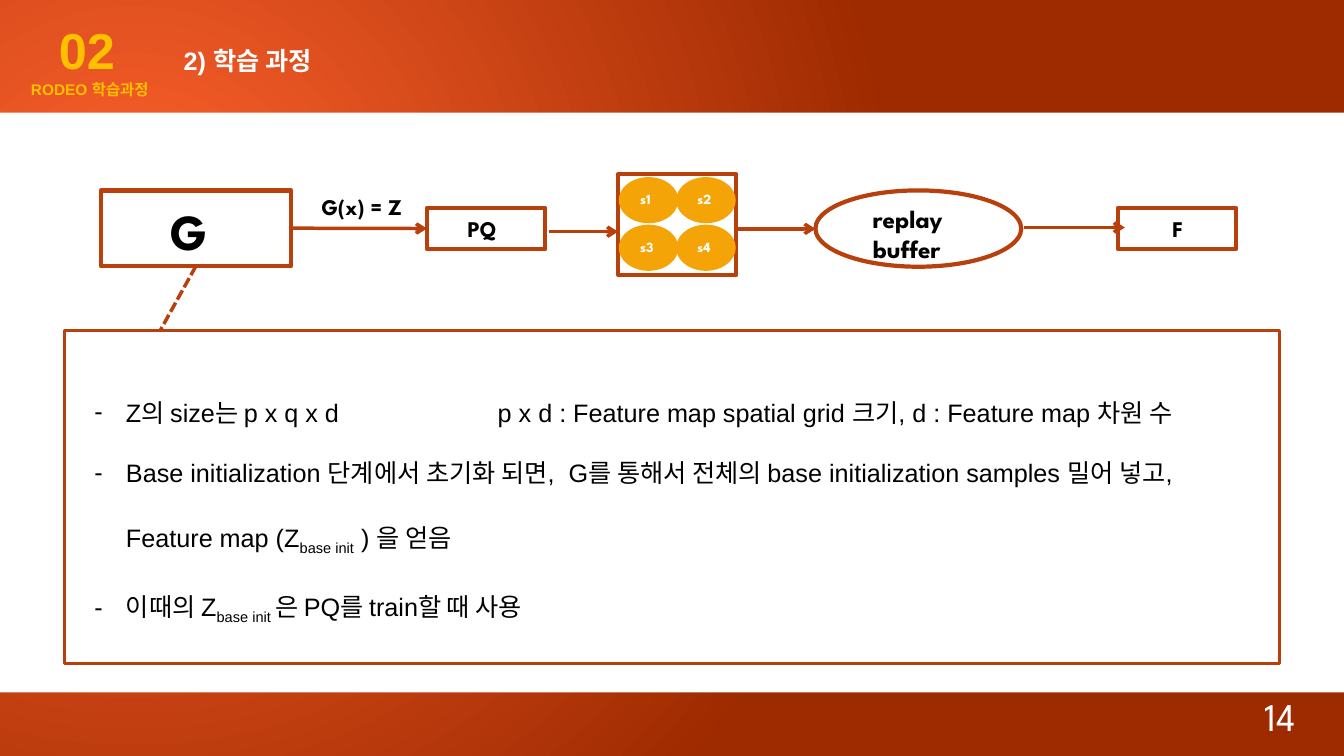
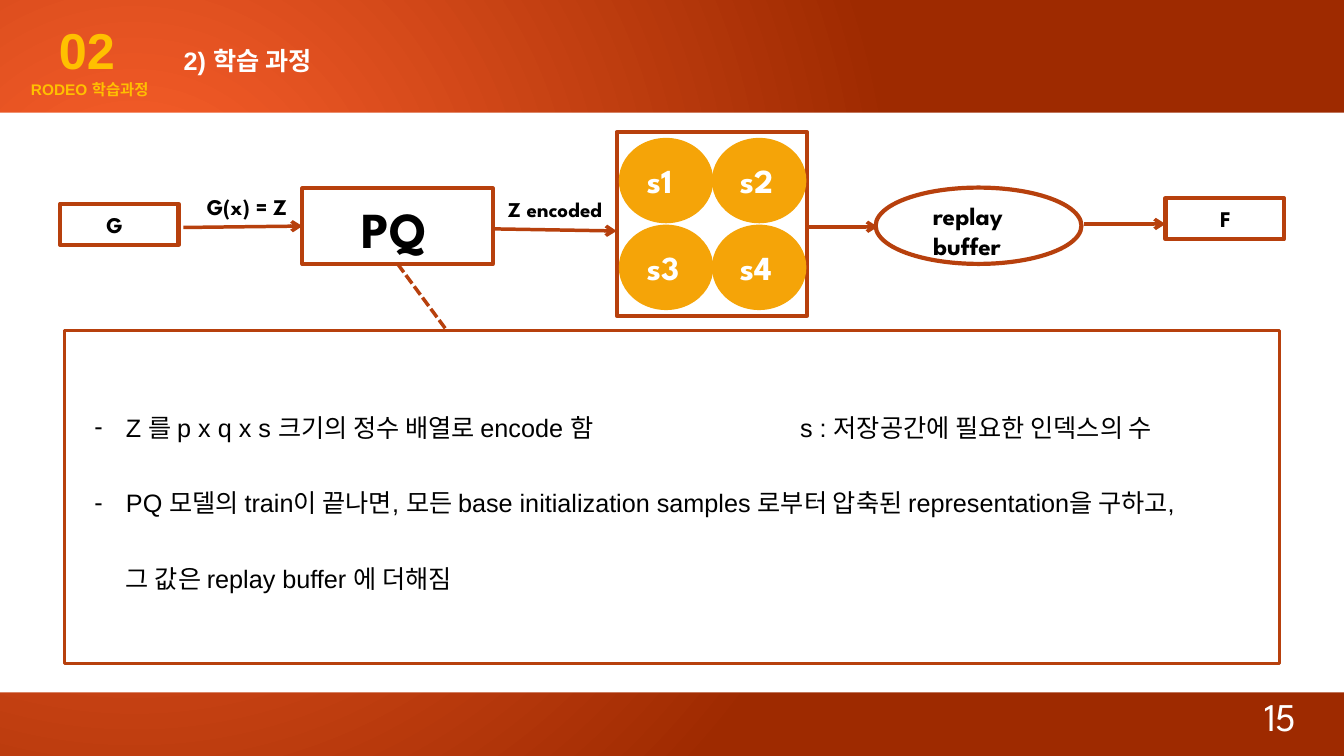
from lxml import etree
from pptx import Presentation
from pptx.dml.color import RGBColor
from pptx.enum.dml import MSO_LINE
from pptx.enum.shapes import MSO_CONNECTOR, MSO_SHAPE
from pptx.enum.text import MSO_ANCHOR, MSO_AUTO_SIZE, PP_ALIGN
from pptx.oxml.ns import qn
from pptx.util import Pt

RECT, OVAL = MSO_SHAPE.RECTANGLE, MSO_SHAPE.OVAL
STRAIGHT, DASH = MSO_CONNECTOR.STRAIGHT, MSO_LINE.SQUARE_DOT
TOP, MIDDLE, BOTTOM = MSO_ANCHOR.TOP, MSO_ANCHOR.MIDDLE, MSO_ANCHOR.BOTTOM
LEFT, CENTER = PP_ALIGN.LEFT, PP_ALIGN.CENTER
FIXED = MSO_AUTO_SIZE.NONE

RUST, AMBER, GOLD = "B7400D", "F5A408", "FFC000"
GLOW, EMBER, WHITE, BLACK = "FF622E", "9E2A00", "FFFFFF", "000000"
SANS, SPARTAN = "Arial", "League Spartan"

TITLE = "2) 학습 과정"
SECTION = "02", "RODEO 학습과정"
PANEL = 46, 236, 868, 238
PADDING = 7.2, 3.6, 7.2, 3.6
SUB = -25000

# boxes: kind, place, lines, text size, left and top inset
# points: lists of (text, baseline) parts
SLIDES = [
    {
        "page": "14",
        "boxes": [
            (RECT, (72, 136, 136, 54), ["G"], 36, (50, 7)),
            (RECT, (305, 148.5, 84.5, 29.5), ["PQ"], 16, (29, 5.5)),
            (OVAL, (582.5, 136, 147, 54.5), ["replay", "buffer"], 18, (19.5, 1)),
            (RECT, (798.5, 148.5, 84.5, 29.5), ["F"], 16, (39, 5.5)),
        ],
        "store": {"frame": (441.5, 124.5, 84.5, 72), "first": (442, 126.5),
                  "oval": (42.5, 33), "step": (41, 34), "size": 10,
                  "inset": (9, 5)},
        "labels": [("G(x) = Z", (219, 134.5, 79, 26.5), 16)],
        "arrows": [(208, 163, 305, 163), (392.5, 165.5, 441.5, 165.5),
                   (525.5, 163.5, 582.5, 163.5), (731.5, 162.5, 803.5, 162.5)],
        "dash": (140, 190, 114.5, 236),
        "spacing": 2,
        "tab": 288,
        "points": [
            [("Z의 size는 p x q x d\tp x d : Feature map spatial grid 크기, "
              "d : Feature map 차원 수", 0)],
            [("Base initialization 단계에서 초기화 되면,  G를 통해서 전체의 "
              "base initialization samples 밀어 넣고,\nFeature map (Z", 0),
             ("base init", SUB), (" ) 을 얻음", 0)],
            [("이때의 Z", 0), ("base init ", SUB), ("은 PQ를 train할 때 사용", 0)],
        ],
    },
    {
        "page": "15",
        "boxes": [
            (RECT, (43, 145.5, 84.5, 29.5), ["G"], 16, (33, 5)),
            (RECT, (216, 134.5, 136, 54), ["PQ"], 36, (42.5, 7)),
            (OVAL, (625.5, 134, 147, 54.5), ["replay", "buffer"], 18, (19.5, 1)),
            (RECT, (832.5, 141.5, 84.5, 29.5), ["F"], 16, (39, 5)),
        ],
        "store": {"frame": (440.5, 94.5, 136, 131), "first": (442, 98.5),
                  "oval": (67.5, 61), "step": (66.5, 62), "size": 24,
                  "inset": (10, 7)},
        "labels": [("G(x) = Z", (137, 134.5, 79, 26.5), 16),
                   ("Z encoded", (343.5, 137, 106, 25), 15)],
        "arrows": [(131, 162.5, 216, 161.5), (352, 163.5, 440.5, 165),
                   (576.5, 162, 627, 162), (774.5, 160, 832.5, 160)],
        "dash": (284, 188.5, 318, 234.5),
        "spacing": 2.5,
        "tab": 504,
        "points": [
            [("Z 를 p x q x s 크기의 정수 배열로 encode 함"
              "\ts : 저장공간에 필요한 인덱스의 수", 0)],
            [("PQ 모델의 train이 끝나면, 모든 base initialization samples 로부터 "
              "압축된 representation을 구하고,\n그 값은 replay buffer 에 더해짐", 0)],
        ],
    },
]


def rgb(code):
    return RGBColor.from_string(code)


def points(values):
    return [Pt(v) for v in values]


def assign(target, values):
    for name, value in values.items():
        setattr(target, name, value)


def add_run(par, text, size, color, font=SPARTAN, bold=True):
    run = par.add_run()
    run.text = text
    assign(run.font, {"name": font, "size": Pt(size), "bold": bold})
    run.font.color.rgb = rgb(color)
    return run


def set_frame(frame, anchor=TOP, inset=PADDING):
    names = "margin_left", "margin_top", "margin_right", "margin_bottom"
    assign(frame, {"word_wrap": True, "auto_size": FIXED,
                   "vertical_anchor": anchor, **dict(zip(names, points(inset)))})


def write(frame, lines, align=LEFT):
    """Each line holds the arguments of add_run."""
    for i, line in enumerate(lines):
        par = frame.add_paragraph() if i else frame.paragraphs[0]
        par.alignment = align
        add_run(par, *line)


def add_text(slide, place, lines, align=LEFT, anchor=TOP):
    frame = slide.shapes.add_textbox(*points(place)).text_frame
    set_frame(frame, anchor)
    write(frame, lines, align)
    return frame


def add_box(slide, kind, place, fill=None, line=None, width=3):
    box = slide.shapes.add_shape(kind, *points(place))
    box.shadow.inherit = False
    if fill:
        box.fill.solid()
        box.fill.fore_color.rgb = rgb(fill)
    else:
        box.fill.background()
    if line:
        box.line.color.rgb = rgb(line)
        box.line.width = Pt(width)
    else:
        box.line.fill.background()
    return box


def fill_box(box, lines, size, color, inset):
    set_frame(box.text_frame, inset=(*inset, 0, 0))
    write(box.text_frame, [(text, size, color) for text in lines])


def find_side(x, y, rects):
    """Return the rectangle and side whose middle lies at the point."""
    for rect in rects:
        l, t, w, h = (v.pt for v in (rect.left, rect.top, rect.width, rect.height))
        mids = (l + w / 2, t), (l, t + h / 2), (l + w / 2, t + h), (l + w, t + h / 2)
        for side, (mx, my) in enumerate(mids):
            if abs(x - mx) <= 1 and abs(y - my) <= 1:
                return rect, side
    return None


def add_link(slide, ends, rects, dashed=False):
    link = slide.shapes.add_connector(STRAIGHT, *points(ends))
    for spot, join in ((ends[:2], link.begin_connect), (ends[2:], link.end_connect)):
        found = find_side(*spot, rects)
        if found:
            join(*found)
    link.line.color.rgb = rgb(RUST)
    link.line.width = Pt(2.5)
    if dashed:
        link.line.dash_style = DASH
    else:
        etree.SubElement(link.line._get_or_add_ln(), qn("a:tailEnd"), type="arrow")
    etree.SubElement(link._element.spPr, qn("a:effectLst"))


def add_store(slide, frame, first, oval, step, size, inset):
    box = add_box(slide, RECT, frame, line=RUST)
    for i in range(4):
        row, col = divmod(i, 2)
        spot = first[0] + col * step[0], first[1] + row * step[1]
        cell = add_box(slide, OVAL, (*spot, *oval), fill=AMBER)
        fill_box(cell, [f"s{i + 1}"], size, WHITE, inset)
    return box


def add_points(slide, items, spacing, tab):
    panel = add_box(slide, RECT, PANEL, line=RUST, width=2)
    frame = panel.text_frame
    set_frame(frame, inset=(21.5, 26, 14, 0))
    for i, parts in enumerate(items):
        par = frame.add_paragraph() if i else frame.paragraphs[0]
        assign(par, {"alignment": LEFT, "line_spacing": spacing})
        props = par._p.get_or_add_pPr()
        props.set("marL", str(Pt(22.5)))
        props.set("indent", str(-Pt(22.5)))
        etree.SubElement(props, qn("a:buFont"), typeface=SANS)
        etree.SubElement(props, qn("a:buChar"), char="-")
        if any("\t" in text for text, _ in parts):
            tabs = etree.SubElement(props, qn("a:tabLst"))
            etree.SubElement(tabs, qn("a:tab"), pos=str(Pt(tab)), algn="l")
        for text, base in parts:
            for j, piece in enumerate(text.split("\n")):
                if j:
                    par.add_line_break()
                run = add_run(par, piece, 18, BLACK, SANS, False)
                if base:
                    run._r.get_or_add_rPr().set("baseline", str(base))


def set_backdrop(master):
    fill = master.background.fill
    fill.gradient()
    for stop, (pos, code) in zip(fill.gradient_stops, ((0, GLOW), (1, EMBER))):
        stop.position = pos
        stop.color.rgb = rgb(code)
    grad = master._element.find(".//" + qn("a:gradFill"))
    lin = grad.find(qn("a:lin"))
    path = etree.Element(qn("a:path"), path="circle")
    etree.SubElement(path, qn("a:fillToRect"),
                     l="45000", t="65000", r="125000", b="100000")
    grad.replace(lin, path)


def add_base(deck, page):
    """Add a slide with the title, section mark, white band and page number."""
    slide = deck.slides.add_slide(deck.slide_layouts[5])
    add_box(slide, RECT, (0, 80.5, 960, 414), fill=WHITE)
    add_text(slide, (885, 503, 59, 29), [(page, 28, WHITE, SPARTAN, False)],
             CENTER, BOTTOM)
    title = slide.shapes.title
    names = "left", "top", "width", "height"
    assign(title, dict(zip(names, points((124, 29, 210, 29)))))
    set_frame(title.text_frame)
    write(title.text_frame, [(TITLE, 18, WHITE, SANS)])
    number, name = SECTION
    mark = add_text(slide, (15, 13, 393, 58),
                    [(number, 36, GOLD, SANS), (name, 11, GOLD, SANS)],
                    anchor=MIDDLE)
    mark.paragraphs[0]._p.get_or_add_pPr().set("marL", str(Pt(20)))
    return slide


def build(deck, data):
    slide = add_base(deck, data["page"])
    add_points(slide, data["points"], data["spacing"], data["tab"])
    rects = [add_store(slide, **data["store"])]
    for kind, place, lines, size, inset in data["boxes"]:
        box = add_box(slide, kind, place, line=RUST)
        fill_box(box, lines, size, BLACK, inset)
        if kind == RECT:
            rects.append(box)
    for text, place, size in data["labels"]:
        add_text(slide, place, [(text, size, BLACK)], CENTER)
    for ends in data["arrows"]:
        add_link(slide, ends, rects)
    add_link(slide, data["dash"], rects, dashed=True)


def main():
    deck = Presentation()
    deck.slide_width, deck.slide_height = Pt(960), Pt(540)
    set_backdrop(deck.slide_master)
    for data in SLIDES:
        build(deck, data)
    deck.save("out.pptx")


if __name__ == "__main__":
    main()
